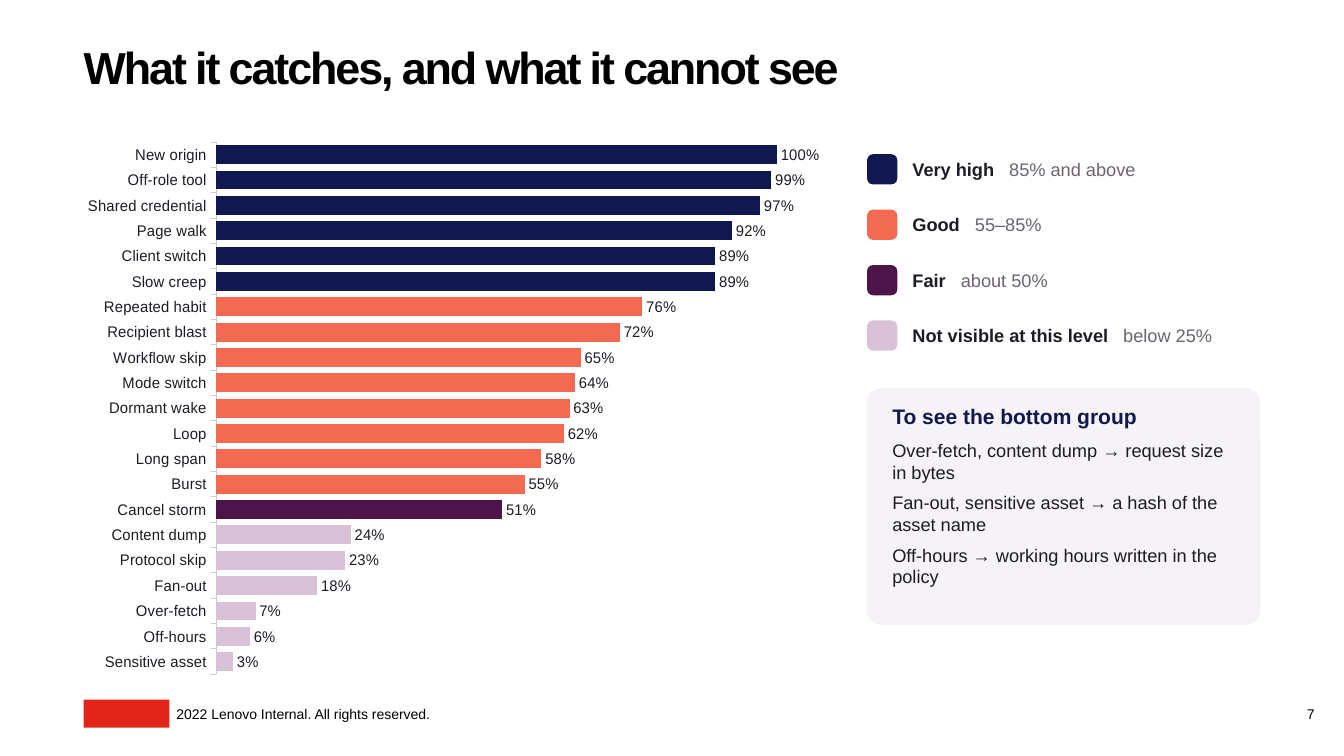
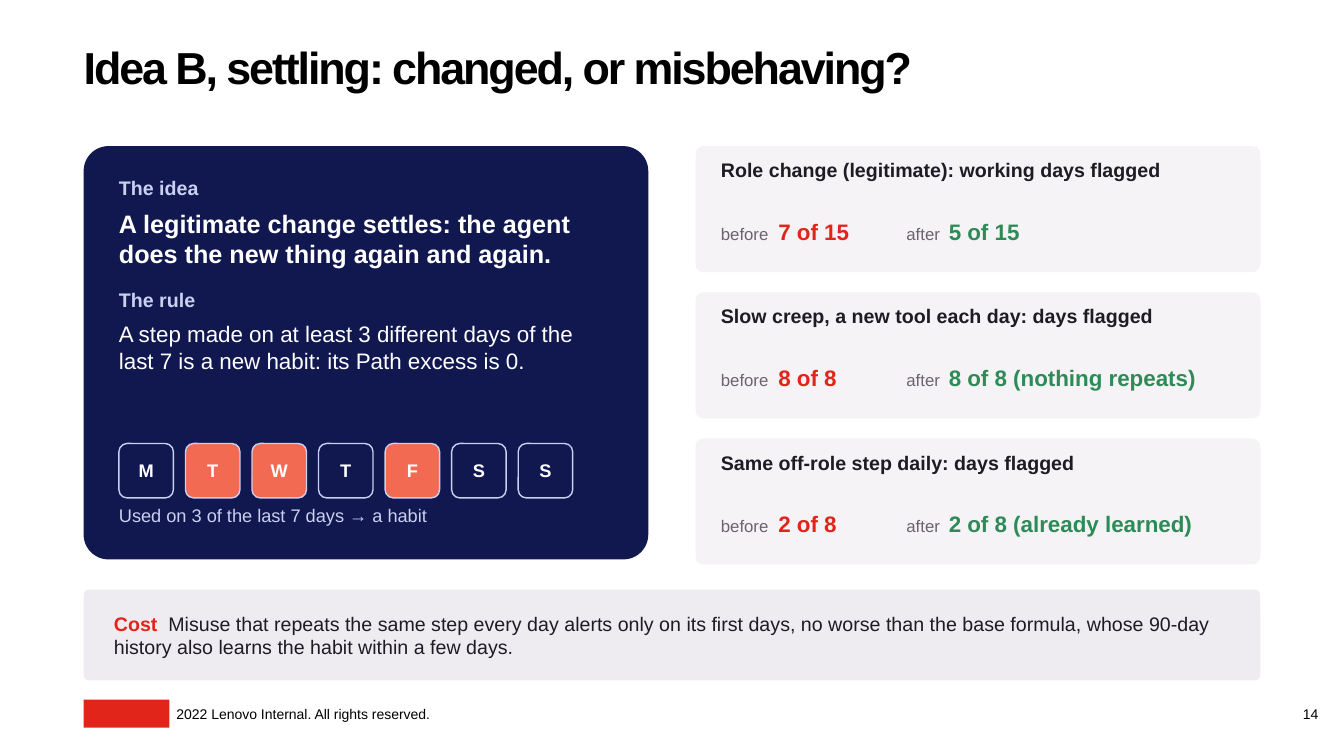
"""Build two slides on what an agent monitor catches and how settled habits are treated."""
from dataclasses import dataclass
from typing import Any, NamedTuple, Optional

from lxml import etree
from pptx import Presentation, slide as sl, util as u
from pptx.chart import data as cd
from pptx.dml import color as dc
from pptx.enum import chart as ec, shapes as es, text as et
from pptx.oxml import ns
from pptx.shapes import autoshape as sh
from pptx.text import text as tx


@dataclass(frozen=True)
class Theme:
    font: str = "Arial"
    black: str = "000000"
    white: str = "FFFFFF"
    ink: str = "1E1B24"
    grey: str = "6B6470"
    navy: str = "11184F"
    coral: str = "F26A52"
    plum: str = "4D144A"
    lilac: str = "D9C1D8"
    mist: str = "C9D0F0"
    red: str = "E1251B"
    green: str = "2E8B57"
    card: str = "F5F3F5"
    strip: str = "EFECF1"
    title: float = 32
    lead: float = 18
    large: float = 16
    heading: float = 15
    label: float = 14
    body: float = 13
    small: float = 12
    chart: float = 11
    footer: float = 10


T = Theme()


class Box(NamedTuple):
    x: float
    y: float
    w: float
    h: float

    def emu(self) -> list[int]:
        return [u.Inches(v) for v in self]


class Span(NamedTuple):
    text: str
    size: float
    color: str
    bold: bool = False


class Para(NamedTuple):
    spans: list[Span]
    after: float = 4
    tab: Optional[float] = None


class Level(NamedTuple):
    name: str
    scope: str
    color: str
    floor: int
    tab: float


class Result(NamedTuple):
    name: str
    before: str
    after: str


LEFT, WIDTH, TOP = 0.83, 11.67, 1.45
TITLE = Box(LEFT, 0.48, WIDTH, 0.46)
LEVELS = [
    Level("Very high", "85% and above", T.navy, 85, 0.96),
    Level("Good", "55–85%", T.coral, 55, 0.62),
    Level("Fair", "about 50%", T.plum, 25, 0.48),
    Level("Not visible at this level", "below 25%", T.lilac, 0, 2.09),
]
CATCH_RATES = {
    "New origin": 100, "Off-role tool": 99, "Shared credential": 97, "Page walk": 92,
    "Client switch": 89, "Slow creep": 89, "Repeated habit": 76, "Recipient blast": 72,
    "Workflow skip": 65, "Mode switch": 64, "Dormant wake": 63, "Loop": 62,
    "Long span": 58, "Burst": 55, "Cancel storm": 51, "Content dump": 24,
    "Protocol skip": 23, "Fan-out": 18, "Over-fetch": 7, "Off-hours": 6,
    "Sensitive asset": 3,
}
RESULTS = [
    Result("Role change (legitimate): working days flagged", "7 of 15", "5 of 15"),
    Result("Slow creep, a new tool each day: days flagged", "8 of 8", "8 of 8 (nothing repeats)"),
    Result("Same off-role step daily: days flagged", "2 of 8", "2 of 8 (already learned)"),
]
WEEK = "MTWTFSS"
USED_DAYS = {1, 2, 4}


def rgb(color: str) -> dc.RGBColor:
    return dc.RGBColor.from_string(color)


def apply(target: Any, values: dict[str, Any]) -> None:
    for name, value in values.items():
        setattr(target, name, value)


def set_font(font: tx.Font, size: float, color: str, bold: bool = False) -> None:
    apply(font, {"name": T.font, "size": u.Pt(size), "bold": bold})
    font.color.rgb = rgb(color)


def set_frame(tf: tx.TextFrame, anchor: et.MSO_ANCHOR) -> None:
    apply(tf, {
        "word_wrap": True, "auto_size": et.MSO_AUTO_SIZE.NONE, "vertical_anchor": anchor,
        "margin_left": 0, "margin_right": 0, "margin_top": 0, "margin_bottom": 0,
    })


def add_tab(p: tx._Paragraph, inches: float) -> None:
    tabs = etree.SubElement(p._p.get_or_add_pPr(), ns.qn("a:tabLst"))
    etree.SubElement(tabs, ns.qn("a:tab"), pos=str(int(u.Inches(inches))), algn="l")


def write(tf: tx.TextFrame, paras: list[Para], middle: bool = False, center: bool = False) -> None:
    set_frame(tf, et.MSO_ANCHOR.MIDDLE if middle else et.MSO_ANCHOR.TOP)
    for i, para in enumerate(paras):
        p = tf.add_paragraph() if i else tf.paragraphs[0]
        if para.tab is not None:
            add_tab(p, para.tab)
        apply(p, {
            "space_after": u.Pt(para.after),
            "alignment": et.PP_ALIGN.CENTER if center else et.PP_ALIGN.LEFT,
        })
        for span in para.spans:
            r = p.add_run()
            r.text = span.text
            set_font(r.font, span.size, span.color, span.bold)


def add_text(s: sl.Slide, box: Box, paras: list[Para], middle: bool = False,
             center: bool = False) -> None:
    write(s.shapes.add_textbox(*box.emu()).text_frame, paras, middle, center)


def add_panel(s: sl.Slide, box: Box, fill: str, radius: float = 0.06,
              line: Optional[str] = None) -> sh.Shape:
    kind = es.MSO_SHAPE.ROUNDED_RECTANGLE if radius else es.MSO_SHAPE.RECTANGLE
    sp = s.shapes.add_shape(kind, *box.emu())
    sp.shadow.inherit = False
    if radius:
        sp.adjustments[0] = radius
    sp.fill.solid()
    sp.fill.fore_color.rgb = rgb(fill)
    if line:
        sp.line.color.rgb = rgb(line)
        sp.line.width = u.Pt(1)
    else:
        sp.line.fill.background()
    return sp


def add_slide(prs: Any, title: str, number: int) -> sl.Slide:
    s = prs.slides.add_slide(prs.slide_layouts[5])
    sp = s.shapes.title
    apply(sp, dict(zip(("left", "top", "width", "height"), TITLE.emu())))
    write(sp.text_frame, [Para([Span(title, T.title, T.black, True)], 0)])
    p = sp.text_frame.paragraphs[0]
    p.line_spacing = 0.85
    p.runs[0]._r.get_or_add_rPr().set("spc", "-150")
    add_panel(s, Box(LEFT, 6.94, 0.85, 0.28), T.red, 0)
    notice = Span("2022 Lenovo Internal. All rights reserved.", T.footer, T.black)
    add_text(s, Box(1.75, 7, 4.5, 0.17), [Para([notice], 0)])
    page = Span(str(number), T.footer, T.black)
    add_text(s, Box(12.76, 7, 0.48, 0.17), [Para([page], 0)], middle=True, center=True)
    return s


def add_rate_chart(s: sl.Slide, box: Box) -> None:
    data = cd.CategoryChartData()
    data.categories = list(CATCH_RATES)
    data.add_series("Series 1", list(CATCH_RATES.values()))
    chart = s.shapes.add_chart(ec.XL_CHART_TYPE.BAR_CLUSTERED, *box.emu(), data).chart
    apply(chart, {"has_legend": False, "has_title": False})
    set_font(chart.font, T.chart, T.ink)
    cat, val = chart.category_axis, chart.value_axis
    apply(cat, {
        "reverse_order": True, "has_major_gridlines": False,
        "major_tick_mark": ec.XL_TICK_MARK.OUTSIDE, "minor_tick_mark": ec.XL_TICK_MARK.NONE,
    })
    set_font(cat.tick_labels.font, T.chart, T.ink)
    cat.format.line.color.rgb = rgb(T.lilac)
    cat.format.line.width = u.Pt(0.75)
    apply(val, {
        "visible": False, "has_major_gridlines": False,
        "minimum_scale": 0, "maximum_scale": 100,
    })
    plot = chart.plots[0]
    apply(plot, {"gap_width": 35, "vary_by_categories": False, "has_data_labels": True})
    apply(plot.data_labels, {
        "show_value": True, "position": ec.XL_LABEL_POSITION.OUTSIDE_END,
        "number_format": '0"%"', "number_format_is_linked": False,
    })
    set_font(plot.data_labels.font, T.chart, T.ink)
    for i, rate in enumerate(CATCH_RATES.values()):
        fill = plot.series[0].points[i].format.fill
        fill.solid()
        fill.fore_color.rgb = rgb(next(v.color for v in LEVELS if rate >= v.floor))


def add_legend_row(s: sl.Slide, level: Level, y: float) -> None:
    add_panel(s, Box(8.6, y + 0.08, 0.3, 0.3), level.color, 0.2)
    spans = [Span(level.name, T.body, T.ink, True), Span("\t" + level.scope, T.body, T.grey)]
    add_text(s, Box(9.05, y, 3.4, 0.45), [Para(spans, tab=level.tab)], middle=True)


def add_result(s: sl.Slide, result: Result, y: float) -> None:
    add_panel(s, Box(6.9, y, 5.6, 1.25), T.card)
    add_text(s, Box(7.15, y + 0.12, 5.1, 0.4),
             [Para([Span(result.name, T.label, T.ink, True)])])
    for x, w, when, value, color, tab in (
        (7.15, 1.84, "before", result.before, T.red, 0.57),
        (8.99, 3.26, "after", result.after, T.green, 0.42),
    ):
        spans = [Span(when + "\t", T.small, T.grey), Span(value, T.large, color, True)]
        add_text(s, Box(x, y + 0.52, w, 0.65), [Para(spans, tab=tab)], middle=True)


def add_day(s: sl.Slide, index: int, day: str) -> None:
    box = Box(1.18 + 0.66 * index, 4.4, 0.54, 0.54)
    sp = add_panel(s, box, T.coral if index in USED_DAYS else T.navy, 0.15, T.mist)
    write(sp.text_frame, [Para([Span(day, T.body, T.white, True)])], middle=True, center=True)


def build_catches(prs: Any) -> None:
    s = add_slide(prs, "What it catches, and what it cannot see", 7)
    add_rate_chart(s, Box(0.73, 1.3, 7.4, 5.5))
    for i, level in enumerate(LEVELS):
        add_legend_row(s, level, TOP + 0.55 * i)
    add_panel(s, Box(8.6, 3.85, 3.9, 2.35), T.card)
    remedies = [
        "Over-fetch, content dump → request size in bytes",
        "Fan-out, sensitive asset → a hash of the asset name",
        "Off-hours → working hours written in the policy",
    ]
    heading = Para([Span("To see the bottom group", T.heading, T.navy, True)], 8)
    add_text(s, Box(8.85, 4, 3.45, 2.15),
             [heading] + [Para([Span(v, T.body, T.ink)], 6) for v in remedies])


def build_settling(prs: Any) -> None:
    s = add_slide(prs, "Idea B, settling: changed, or misbehaving?", 14)
    add_panel(s, Box(LEFT, TOP, 5.6, 4.1), T.navy)
    idea = "A legitimate change settles: the agent does the new thing again and again."
    rule = ("A step made on at least 3 different days of the last 7 is a new habit: "
            "its Path excess is 0.")
    add_text(s, Box(1.18, 1.75, 4.9, 2.5), [
        Para([Span("The idea", T.label, T.mist, True)], 6),
        Para([Span(idea, T.lead, T.white, True)], 14),
        Para([Span("The rule", T.label, T.mist, True)], 6),
        Para([Span(rule, T.large, T.white)]),
    ])
    for i, day in enumerate(WEEK):
        add_day(s, i, day)
    add_text(s, Box(1.18, 5, 4.9, 0.45),
             [Para([Span("Used on 3 of the last 7 days → a habit", T.body, T.mist)])])
    for i, result in enumerate(RESULTS):
        add_result(s, result, TOP + 1.45 * i)
    add_panel(s, Box(LEFT, 5.85, WIDTH, 0.9), T.strip)
    cost = ("Misuse that repeats the same step every day alerts only on its first days, "
            "no worse than the base formula, whose 90-day history also learns the habit "
            "within a few days.")
    spans = [Span("Cost\t", T.label, T.red, True), Span(cost, T.label, T.ink)]
    add_text(s, Box(1.13, 5.85, 11.07, 0.9), [Para(spans, tab=0.54)], middle=True)


def main() -> None:
    prs = Presentation()
    apply(prs, {"slide_width": u.Inches(13.33), "slide_height": u.Inches(7.5)})
    build_catches(prs)
    build_settling(prs)
    prs.save("out.pptx")


if __name__ == "__main__":
    main()
